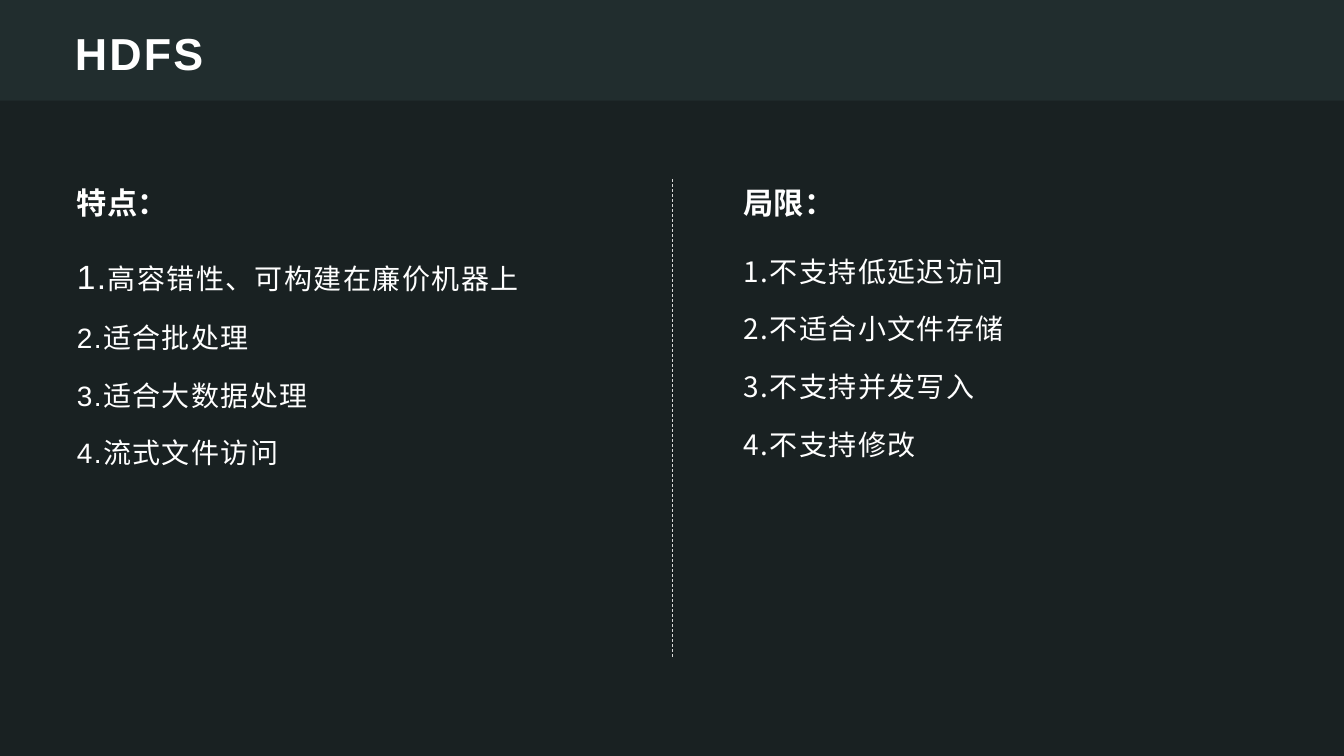
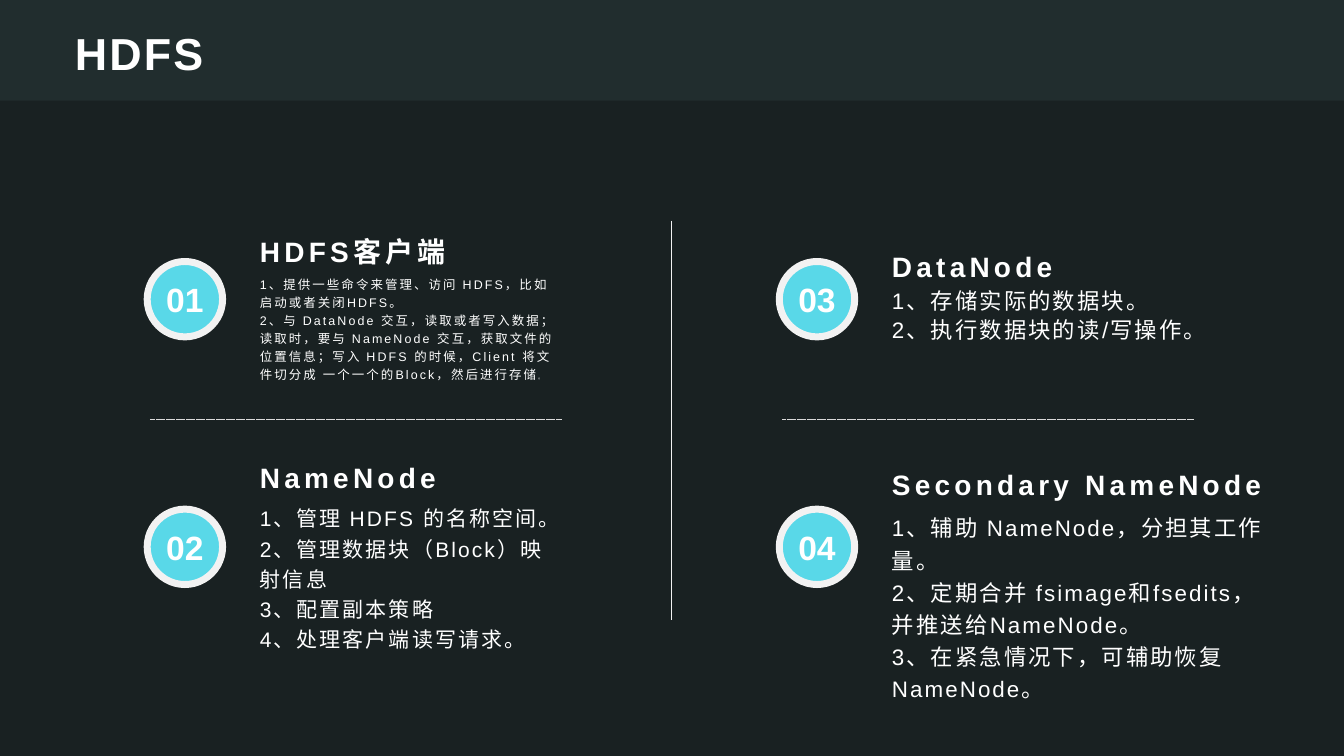
import pptx
import pptx.dml.color
import pptx.enum.dml
import pptx.enum.shapes
import pptx.enum.text
import pptx.oxml.ns
import pptx.util
import lxml.etree

Cm, Pt = pptx.util.Cm, pptx.util.Pt
ANCHOR = pptx.enum.text.MSO_ANCHOR
ALIGN = pptx.enum.text.PP_ALIGN
SHAPE = pptx.enum.shapes.MSO_SHAPE
DASH = pptx.enum.dml.MSO_LINE.DASH
qn = pptx.oxml.ns.qn

BACKGROUND, BAND, ACCENT = "192122", "212D2E", "59D8E8"
WHITE, PALE, GREY = "FFFFFF", "F2F2F2", "D9D9D9"
LATIN, CJK = "Arial", "Noto Sans CJK SC"
WIDTH, HEIGHT = 33.87, 19.05


def rgb(value):
    return pptx.dml.color.RGBColor.from_string(value)


class Deck:
    """The presentation, its shared style and the slide being filled."""

    def __init__(self):
        self.file = pptx.Presentation()
        self.file.slide_width, self.file.slide_height = Cm(WIDTH), Cm(HEIGHT)
        self.slide = None

    def new_slide(self, title):
        self.slide = self.file.slides.add_slide(self.file.slide_layouts[6])
        background = self.slide.background.fill
        background.solid()
        background.fore_color.rgb = rgb(BACKGROUND)
        self.shape(SHAPE.RECTANGLE, 0, 0, WIDTH, 2.54, BAND)
        self.text([title], 1.69, 0.42, 30.48, 1.69, size=32, bold=True, tracking=1.5,
                  anchor=ANCHOR.BOTTOM, insets=(0.2, 0.1, 0.2, 0.1))

    def shape(self, preset, left, top, width, height, fill, outline=None, weight=0):
        shape = self.slide.shapes.add_shape(preset, Cm(left), Cm(top), Cm(width), Cm(height))
        shape.shadow.inherit = False
        shape.fill.solid()
        shape.fill.fore_color.rgb = rgb(fill)
        if outline:
            shape.line.color.rgb = rgb(outline)
            shape.line.width = Pt(weight)
        else:
            shape.line.fill.background()
        return shape

    def line(self, x1, y1, x2, y2, color, weight, dash=None):
        line = self.slide.shapes.add_connector(
            pptx.enum.shapes.MSO_CONNECTOR.STRAIGHT, Cm(x1), Cm(y1), Cm(x2), Cm(y2))
        line.line.color.rgb = rgb(color)
        line.line.width = Pt(weight)
        line.line.dash_style = dash
        lxml.etree.SubElement(line._element.spPr, qn("a:effectLst"))

    def text(self, paragraphs, left, top, width, height, insets=(0.25, 0.13, 0.25, 0.13),
             **style):
        box = self.slide.shapes.add_textbox(Cm(left), Cm(top), Cm(width), Cm(height))
        self.fill_frame(box.text_frame, paragraphs, insets, **style)

    def fill_frame(self, frame, paragraphs, insets, size, font=LATIN, bold=False, tracking=0,
                   spacing=1.0, before=0, anchor=ANCHOR.TOP, align=ALIGN.LEFT):
        """Fill a frame; a paragraph is a string or a list of (text, own size or None)."""
        frame.word_wrap = True
        frame.vertical_anchor = anchor
        (frame.margin_left, frame.margin_top,
         frame.margin_right, frame.margin_bottom) = map(Cm, insets)
        for index, content in enumerate(paragraphs):
            paragraph = frame.add_paragraph() if index else frame.paragraphs[0]
            paragraph.alignment = align
            paragraph.line_spacing = spacing
            paragraph.space_before = Pt(before)
            paragraph.font.size = Pt(size)
            paragraph.font.bold = bold
            paragraph.font.name = font
            paragraph.font.color.rgb = rgb(WHITE)
            defaults = paragraph._p.get_or_add_pPr().get_or_add_defRPr()
            defaults.set("spc", str(int(tracking * 100)))
            lxml.etree.SubElement(defaults, qn("a:ea")).set("typeface", CJK)
            runs = [(content, None)] if isinstance(content, str) else content
            for words, own_size in runs:
                run = paragraph.add_run()
                run.text = words
                if own_size:
                    run.font.size = Pt(own_size)

    def column(self, left, heading, items, font):
        self.text([heading], left, 4.52, 13.67, 1.27, size=21.6, bold=True)
        self.text(items, left, 6.02, 13.67, 10.54, size=20, font=font, tracking=1,
                  spacing=1.3, before=10)

    def badge(self, left, top, number):
        circle = self.shape(SHAPE.OVAL, left, top, 1.9, 1.9, ACCENT, PALE, 5)
        self.fill_frame(circle.text_frame, [number], (0, 0, 0, 0), size=24, bold=True,
                        anchor=ANCHOR.MIDDLE, align=ALIGN.CENTER)

    def role(self, left, heading, heading_top, body, body_top, width, size, spacing):
        self.text([heading], left, heading_top, width, 1.2, size=20, bold=True, tracking=3,
                  spacing=1.2, anchor=ANCHOR.BOTTOM, insets=(0.25, 0.13, 0.25, 0))
        self.text(body, left, body_top, width, 3.4, size=size, tracking=1.5,
                  spacing=spacing, insets=(0.25, 0, 0.25, 0.13))


def add_features(deck):
    deck.new_slide("HDFS")
    deck.column(1.69, "特点：", [
        [("1.", 24), ("高容错性、可构建在廉价机器上", None)],
        "2.适合批处理", "3.适合大数据处理", "4.流式文件访问"], LATIN)
    deck.line(WIDTH / 2, 4.52, WIDTH / 2, 16.56, GREY, 0.5, DASH)
    deck.column(18.49, "局限：", [
        "1.不支持低延迟访问", "2.不适合小文件存储", "3.不支持并发写入", "4.不支持修改"], CJK)


def add_roles(deck):
    column_step, row_step = 15.93, 6.24
    roles = [
        ("HDFS客户端", 5.56, [
            "1、提供一些命令来管理、访问 HDFS，比如启动或者关闭HDFS。",
            [("2、与 DataNode 交互，读取或者写入数据；读取时，要与 NameNode 交互，"
              "获取文件的位置信息；写入 HDFS 的时候，Client 将文件切分成 "
              "一个一个的Block，然后进行存储", None), ("。", 4)]], 6.91, 7.92, 8.9, 1.2),
        ("NameNode", 11.25, [
            "1、管理 HDFS 的名称空间。", "2、管理数据块（Block）映射信息",
            "3、配置副本策略", "4、处理客户端读写请求。"], 12.62, 7.92, 15, 1.2),
        ("DataNode", 5.94, [
            "1、存储实际的数据块。", "2、执行数据块的读/写操作。"], 7.16, 7.92, 16, 1.1),
        ("Secondary NameNode", 11.43, [
            "1、辅助 NameNode，分担其工作量。",
            "2、定期合并 fsimage和fsedits，并推送给NameNode。",
            "3、在紧急情况下，可辅助恢复 NameNode。"], 12.83, 10.1, 16, 1.2),
    ]
    deck.new_slide("HDFS")
    deck.line(16.92, 5.56, 16.92, 15.62, PALE, 1)
    for index, (heading, heading_top, body, body_top, width, size, spacing) in enumerate(roles):
        column, row = divmod(index, 2)
        shift = column * column_step
        if row == 0:
            deck.line(3.78 + shift, 10.57, 14.15 + shift, 10.57, GREY, 0.1, DASH)
        deck.badge(3.71 + shift, 6.59 + row * row_step, f"{index + 1:02}")
        deck.role(6.3 + shift, heading, heading_top, body, body_top, width, size, spacing)


def main():
    deck = Deck()
    add_features(deck)
    add_roles(deck)
    deck.file.save("out.pptx")


if __name__ == "__main__":
    main()
